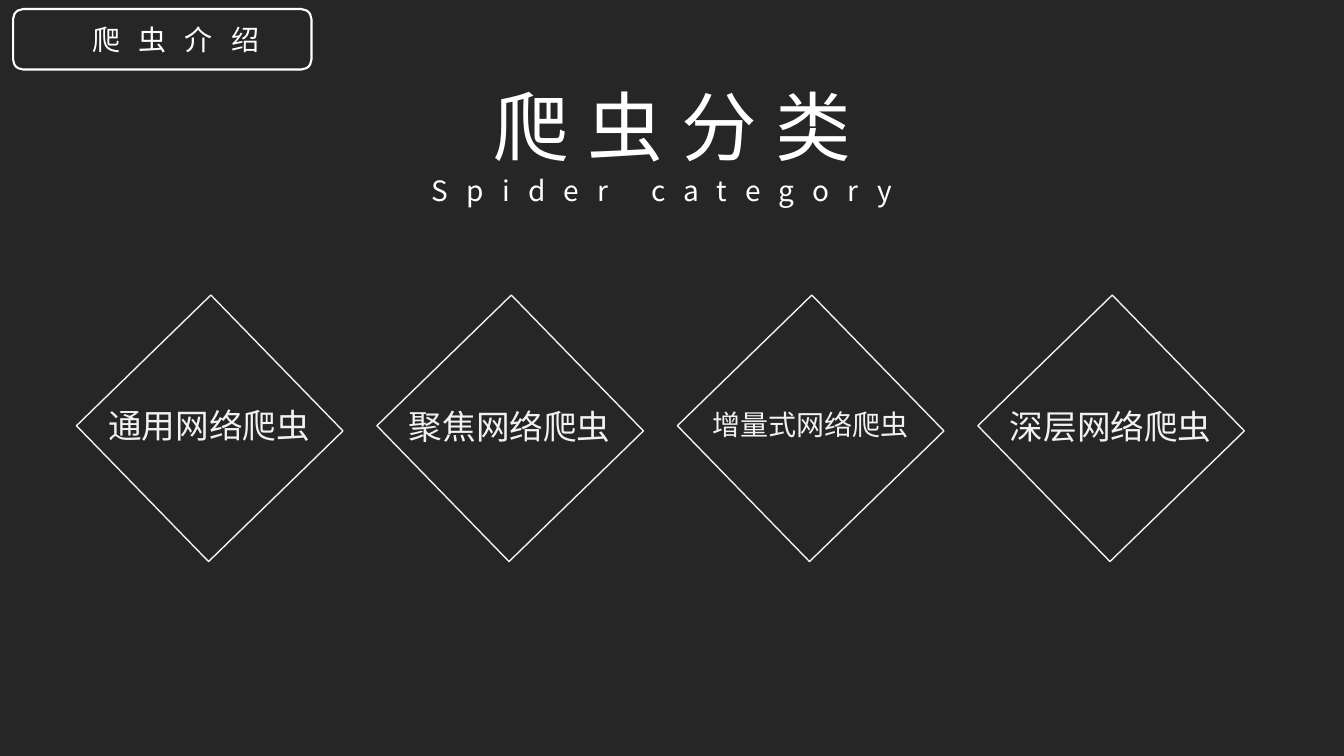
from lxml import etree
from pptx import Presentation
from pptx.dml.color import RGBColor
from pptx.enum import shapes, text
from pptx.oxml import ns
from pptx.util import Inches, Pt

COLORS = {"background": "262626", "white": "FFFFFF", "soft": "F2F2F2"}
FONT = "Noto Sans CJK SC"
WIDE_SPACING = 13

# Label, label left, top, width and text size
CATEGORIES = [
    ("通用网络爬虫", 0.88, 3.97, 2.39, 24),
    ("聚焦网络爬虫", 3.86, 3.98, 2.39, 24),
    ("增量式网络爬虫", 6.78, 3.99, 2.52, 20),
    ("深层网络爬虫", 9.82, 3.98, 2.39, 24),
]
DIAMOND_LEFT, DIAMOND_TOP, DIAMOND_STEP = 1.14, 3.32, 2.98


def color(name):
    return RGBColor.from_string(COLORS[name])


def write(holder, words, size, color_name, spacing=0, wrap=True):
    """Set one centred line of text; spacing is between letters, in points."""
    frame = holder.text_frame
    frame.word_wrap = wrap
    frame.vertical_anchor = text.MSO_ANCHOR.TOP
    frame.auto_size = text.MSO_AUTO_SIZE.SHAPE_TO_FIT_TEXT
    line = frame.paragraphs[0]
    line.text = words
    line.alignment = text.PP_ALIGN.CENTER
    line.line_spacing = 1.0
    font = line.font
    font.size = Pt(size)
    font.color.rgb = color(color_name)
    font.name = FONT
    properties = line._p.pPr.find(ns.qn("a:defRPr"))
    latin = properties.find(ns.qn("a:latin"))
    east_asian = etree.Element(ns.qn("a:ea"), typeface=FONT)
    latin.addnext(east_asian)
    if spacing:
        properties.set("spc", str(spacing * 100))


def add_label(slide, box, *args, **options):
    label = slide.shapes.add_textbox(*map(Inches, box))
    write(label, *args, **options)


def add_outline(slide, kind, box, line_color, line_width):
    outline = slide.shapes.add_shape(kind, *map(Inches, box))
    outline.shadow.inherit = False
    outline.fill.background()
    outline.line.color.rgb = color(line_color)
    outline.line.width = Pt(line_width)
    return outline


def add_heading(slide):
    title = slide.shapes.title
    title.left, title.top, title.width, title.height = map(
        Inches, (4.69, 0.74, 3.96, 1.01))
    write(title, "爬虫分类", 54, "white", WIDE_SPACING)
    add_label(slide, (3.82, 1.67, 5.49, 0.44), "Spider category", 20,
              "white", WIDE_SPACING)


def add_section_tag(slide):
    tag = add_outline(slide, shapes.MSO_SHAPE.ROUNDED_RECTANGLE,
                      (0.13, 0.09, 2.96, 0.6), "white", 1.5)
    tag.fill.solid()
    tag.fill.fore_color.rgb = color("background")
    add_label(slide, (0.58, 0.17, 2.33, 0.44), "爬虫介绍", 20, "white",
              WIDE_SPACING, wrap=False)


def add_categories(slide):
    for index, (name, left, top, width, size) in enumerate(CATEGORIES):
        diamond = add_outline(
            slide, shapes.MSO_SHAPE.RECTANGLE,
            (DIAMOND_LEFT + index * DIAMOND_STEP, DIAMOND_TOP, 1.88, 1.86),
            "soft", 1)
        diamond.rotation = 45.8
        add_label(slide, (left, top, width, size / 50), name, size, "soft")


def main():
    deck = Presentation()
    deck.slide_width, deck.slide_height = Inches(13.33), Inches(7.5)
    slide = deck.slides.add_slide(deck.slide_layouts.get_by_name("Title Only"))
    slide.background.fill.solid()
    slide.background.fill.fore_color.rgb = color("background")
    add_heading(slide)
    add_section_tag(slide)
    add_categories(slide)
    deck.save("out.pptx")


if __name__ == "__main__":
    main()
